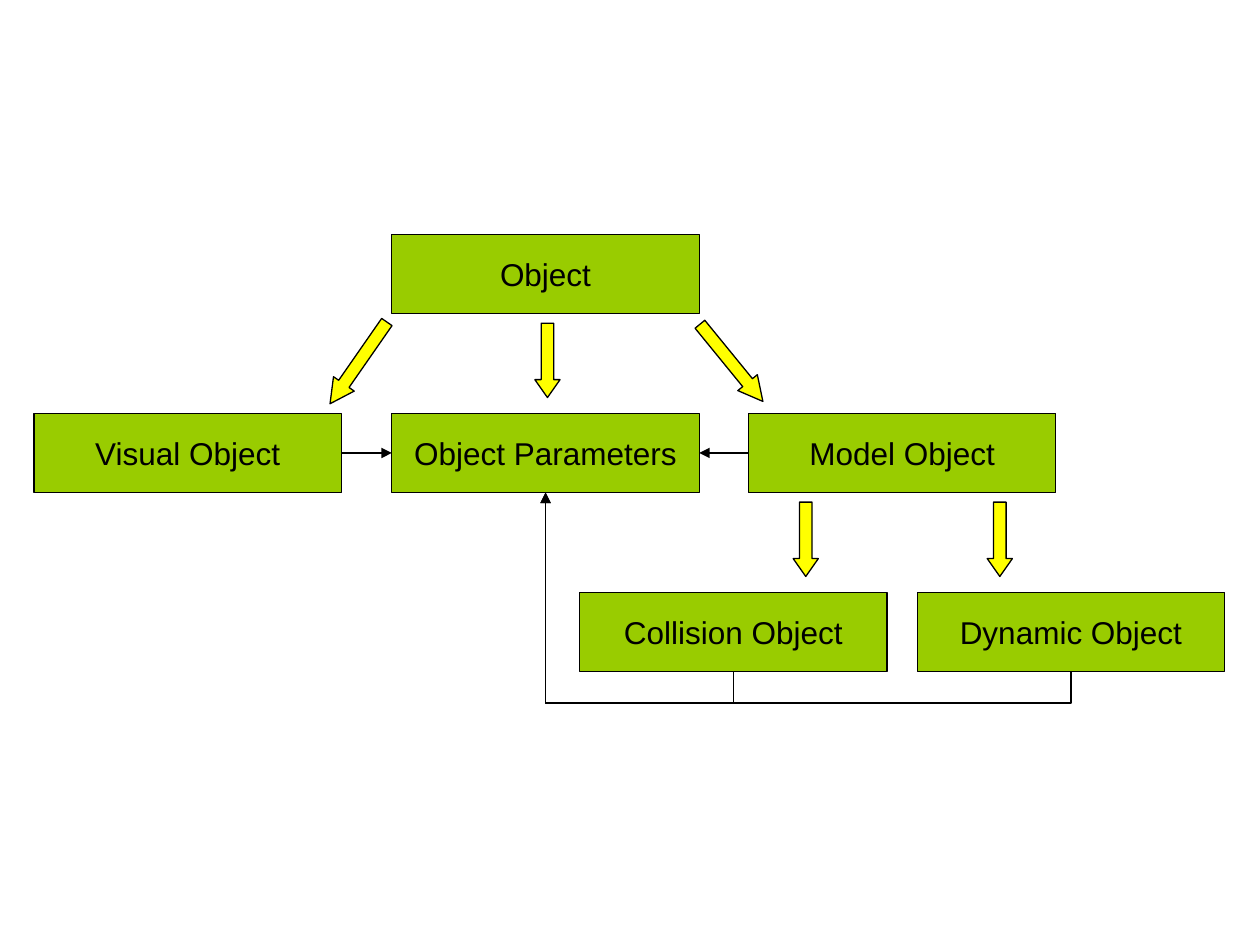
import lxml.etree
import pptx
import pptx.dml.color
import pptx.enum.shapes
import pptx.enum.text
import pptx.oxml.ns
import pptx.util
from pptx.util import Inches

BOX_WIDTH, BOX_HEIGHT = 2.44, 0.63
TOP, LEFT, BOTTOM, RIGHT = range(4)
BOXES = {
    "Object": (3.11, 1.86),
    "Visual Object": (0.27, 3.28),
    "Object Parameters": (3.11, 3.28),
    "Model Object": (5.94, 3.28),
    "Collision Object": (4.6, 4.7),
    "Dynamic Object": (7.28, 4.7),
}
BLOCK_ARROWS = [
    (2.45, 2.78, 0.79, 124.8),
    (4.05, 2.76, 0.59, 90),
    (5.41, 2.78, 0.79, 50.8),
    (6.1, 4.18, 0.59, 90),
    (7.64, 4.18, 0.59, 90),
]


def color(value):
    """Turn a hex string into a colour."""
    return pptx.dml.color.RGBColor.from_string(value)


def add_child(parent, tag, **attributes):
    """Append a DrawingML element to its parent."""
    child = lxml.etree.SubElement(parent, pptx.oxml.ns.qn(tag))
    for name, value in attributes.items():
        child.set(name, value)
    return child


def style_shape(shape, fill):
    """Give a shape a flat fill and a thin black outline."""
    shape.shadow.inherit = False
    shape.fill.solid()
    shape.fill.fore_color.rgb = color(fill)
    shape.line.color.rgb = color("000000")
    shape.line.width = pptx.util.Pt(0.75)


def add_box(page, label, left, top):
    """Add a labelled green box."""
    box = page.shapes.add_shape(
        pptx.enum.shapes.MSO_SHAPE.RECTANGLE,
        Inches(left), Inches(top), Inches(BOX_WIDTH), Inches(BOX_HEIGHT))
    style_shape(box, "99CC00")
    frame = box.text_frame
    frame.text = label
    frame.word_wrap = False
    frame.vertical_anchor = pptx.enum.text.MSO_ANCHOR.MIDDLE
    para = frame.paragraphs[0]
    para.alignment = pptx.enum.text.PP_ALIGN.CENTER
    font = para.runs[0].font
    font.name, font.size = "Arial", pptx.util.Pt(18)
    font.color.rgb = color("000000")
    return box


def add_block_arrow(page, left, top, length, angle):
    """Add a yellow block arrow turned by an angle."""
    thickness = 0.2
    arrow = page.shapes.add_shape(
        pptx.enum.shapes.MSO_SHAPE.RIGHT_ARROW,
        Inches(left), Inches(top), Inches(length), Inches(thickness))
    style_shape(arrow, "FFFF00")
    arrow.rotation = angle
    arrow.adjustments[0] = 0.5
    arrow.adjustments[1] = 0.71 if angle == 90 else 0.96


def add_link(page, kind, source, source_side, target, target_side):
    """Join two boxes with a thin line that ends in an arrowhead."""
    link = page.shapes.add_connector(kind, 0, 0, 0, 0)
    link.begin_connect(source, source_side)
    link.end_connect(target, target_side)
    link.line.color.rgb = color("000000")
    link.line.width = pptx.util.Pt(0.75)
    properties = link._element.spPr
    line = properties.find(pptx.oxml.ns.qn("a:ln"))
    add_child(line, "a:tailEnd", type="triangle")
    add_child(properties, "a:effectLst")
    return link


def add_return_link(page, source, target):
    """Lead an elbow from under one box up to the bottom of another."""
    link = add_link(page, pptx.enum.shapes.MSO_CONNECTOR.ELBOW,
                    source, BOTTOM, target, BOTTOM)
    run = source.left - target.left
    rise = source.top - target.top
    center_x = target.left + (run + source.width) // 2
    center_y = target.top + target.height + rise // 2
    link.left, link.top = center_x - rise // 2, center_y - run // 2
    link.width, link.height = rise, run
    properties = link._element.spPr
    transform = properties.find(pptx.oxml.ns.qn("a:xfrm"))
    for name, value in (("rot", "16200000"), ("flipH", "0"), ("flipV", "1")):
        transform.set(name, value)
    drop = -round(Inches(0.25) / rise * 100000)
    guides = properties.find(".//" + pptx.oxml.ns.qn("a:avLst"))
    add_child(guides, "a:gd", name="adj1", fmla=f"val {drop}")


def add_diagram(page):
    """Draw the object hierarchy and its links to the parameters."""
    boxes = {label: add_box(page, label, *place)
             for label, place in BOXES.items()}
    for arrow in BLOCK_ARROWS:
        add_block_arrow(page, *arrow)
    parameters = boxes["Object Parameters"]
    straight = pptx.enum.shapes.MSO_CONNECTOR.STRAIGHT
    add_link(page, straight, boxes["Visual Object"], RIGHT, parameters, LEFT)
    add_link(page, straight, boxes["Model Object"], LEFT, parameters, RIGHT)
    for label in ("Dynamic Object", "Collision Object"):
        add_return_link(page, boxes[label], parameters)


def main():
    """Build the deck and save it."""
    deck = pptx.Presentation()
    deck.slide_width, deck.slide_height = Inches(10), Inches(7.5)
    page = deck.slides.add_slide(deck.slide_layouts[6])
    add_diagram(page)
    deck.save("out.pptx")


if __name__ == "__main__":
    main()
